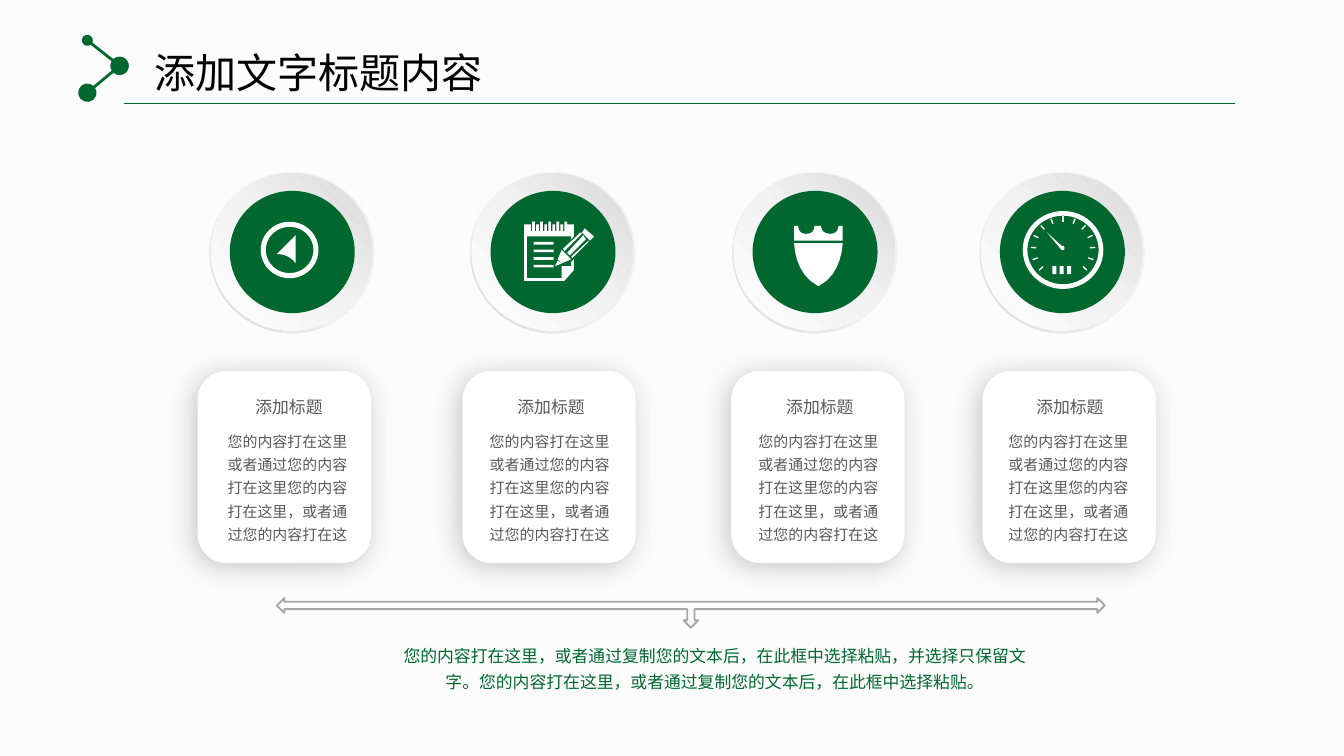
import copy
import math

import pptx
import pptx.util
import pptx.dml.color
import pptx.enum.shapes
import pptx.enum.text
import pptx.oxml
import pptx.oxml.ns
from lxml import etree

Inches = pptx.util.Inches
Pt = pptx.util.Pt
SHAPE = pptx.enum.shapes.MSO_SHAPE
qn = pptx.oxml.ns.qn

# Content
TITLE = "添加文字标题内容"
HEADING = "添加标题"
BODY = "您的内容打在这里或者通过您的内容打在这里您的内容打在这里，或者通过您的内容打在这"
SUMMARY = ("您的内容打在这里，或者通过复制您的文本后，在此框中选择粘贴，并选择只保留文字。"
           "您的内容打在这里，或者通过复制您的文本后，在此框中选择粘贴。")
FONT = "Noto Sans CJK SC"
COLORS = {"page": "FCFCFC", "green": "00682F", "black": "000000", "text": "595959",
          "white": "FFFFFF", "pale": "F2F2F2", "silver": "D9D9D9", "arrow": "A6A6A6"}

# Each column: card left, text left, badge left
COLUMNS = [(1.47, 1.54, 1.56), (3.44, 3.49, 3.5), (5.44, 5.49, 5.45), (7.31, 7.35, 7.29)]

# Outlines: a pair is a corner, six numbers are a Bezier curve
POINTER = [(2.2, 1.96), (2.2, 1.75), (2.06, 1.89), (2.16, 1.89, 2.2, 1.96, 2.2, 1.96)]
PENCIL = [
    [(4.25, 1.91), (4.26, 1.92), (4.38, 1.8), (4.38, 1.79)],
    [(4.34, 1.75), (4.22, 1.88), (4.24, 1.9), (4.36, 1.78)],
    [(4.19, 1.85), (4.2, 1.87), (4.33, 1.74), (4.32, 1.73)],
    [(4.25, 1.93), (4.18, 1.86), (4.15, 1.93), (4.18, 1.96)],
    [(4.13, 1.98), (4.18, 1.96), (4.15, 1.94)],
    [(4.35, 1.7), (4.33, 1.73), (4.39, 1.79), (4.42, 1.76)],
]
PAD_INSIDE = [(4.25, 1.98), (4.18, 1.98), (4.18, 2.07), (3.92, 2.07), (3.92, 1.76),
              (4.25, 1.76), (4.25, 1.78), (4.27, 1.76), (4.27, 1.67), (4.22, 1.67)]
PAD_OUTSIDE = [(3.9, 1.67), (3.9, 2.09), (4.2, 2.09), (4.27, 2.01), (4.27, 1.93), (4.25, 1.95)]
SHIELD = [(6.09, 2.13), (6.27, 2.04, 6.27, 1.81, 6.27, 1.81), (5.91, 1.81),
          (5.91, 1.81, 5.91, 2.04, 6.09, 2.13)]
CROWN = [(6.24, 1.68), (6.24, 1.72, 6.21, 1.74, 6.18, 1.74), (6.14, 1.74, 6.11, 1.72, 6.11, 1.68),
         (6.06, 1.68), (6.06, 1.72, 6.04, 1.74, 6, 1.74), (5.96, 1.74, 5.94, 1.72, 5.94, 1.68),
         (5.91, 1.68), (5.91, 1.79), (6.27, 1.79), (6.27, 1.68)]
NEEDLE = [(7.89, 1.85), (7.89, 1.86, 7.9, 1.86, 7.91, 1.86), (7.92, 1.86, 7.92, 1.86, 7.92, 1.85),
          (7.92, 1.84, 7.92, 1.83, 7.91, 1.83), (7.9, 1.83), (7.79, 1.73)]


def rgb(name):
    return pptx.dml.color.RGBColor.from_string(COLORS[name])


def paint(shape, color):
    shape.shadow.inherit = False
    shape.line.fill.background()
    shape.fill.solid()
    shape.fill.fore_color.rgb = rgb(color)


def add_shape(kind, left, top, width, height, color="white", adjust=None):
    shape = page.shapes.add_shape(kind, *map(Inches, (left, top, width, height)))
    paint(shape, color)
    if adjust is not None:
        shape.adjustments[0] = adjust
    return shape


def add_gradient(shape, stops, angle):
    shape.fill.gradient()
    shape.fill.gradient_angle = angle
    stop_list = shape._element.spPr.find(qn("a:gradFill")).find(qn("a:gsLst"))
    stop_list.insert(1, copy.deepcopy(stop_list[0]))
    for stop, (position, color) in zip(shape.fill.gradient_stops, stops):
        stop.position = position
        stop.color.rgb = rgb(color)


def add_outline(outline):
    points = []
    for part in outline:
        if len(part) == 2:
            points.append(part)
            continue
        knots = [points[-1], part[:2], part[2:4], part[4:]]
        for step in range(1, 9):
            t = step / 8
            weights = [(1 - t) ** 3, 3 * t * (1 - t) ** 2, 3 * t * t * (1 - t), t ** 3]
            points.append(tuple(sum(w * k[axis] for w, k in zip(weights, knots)) for axis in (0, 1)))
    points = [(Inches(x), Inches(y)) for x, y in points]
    builder = page.shapes.build_freeform(*points[0])
    builder.add_line_segments(points[1:], close=True)
    paint(builder.convert_to_shape(), "white")


def add_line(start, end, width, dots=()):
    line = page.shapes.add_connector(pptx.enum.shapes.MSO_CONNECTOR.STRAIGHT,
                                     *map(Inches, start + end))
    line.line.color.rgb = rgb("green")
    line.line.width = Pt(width)
    for tag, size in zip(("a:headEnd", "a:tailEnd"), dots):
        etree.SubElement(line.line._get_or_add_ln(), qn(tag), type="oval", w=size, len=size)
    etree.SubElement(line._element.spPr, qn("a:effectLst"))


def add_text(text, left, top, width, height, size, color, insets, spacing=None):
    box = page.shapes.add_textbox(*map(Inches, (left, top, width, height)))
    frame = box.text_frame
    frame.word_wrap = True
    frame.auto_size = pptx.enum.text.MSO_AUTO_SIZE.SHAPE_TO_FIT_TEXT
    frame.margin_left = frame.margin_right = Inches(insets[0])
    frame.margin_top = frame.margin_bottom = Inches(insets[1])
    frame.text = text
    para = frame.paragraphs[0]
    para.alignment = pptx.enum.text.PP_ALIGN.CENTER
    if spacing:
        para.line_spacing = spacing
    span = para.runs[0]
    span.font.size = Pt(size)
    span.font.name = FONT
    span.font.color.rgb = rgb(color)
    etree.SubElement(span._r.get_or_add_rPr(), qn("a:ea"), typeface=FONT)


def add_card(left, text_left):
    card = add_shape(SHAPE.ROUNDED_RECTANGLE, left, 2.76, 1.29, 1.43)
    effects = card._element.spPr.find(qn("a:effectLst"))
    shadow = etree.SubElement(effects, qn("a:outerShdw"), blurRad=str(Pt(15)), dist=str(Pt(3)),
                              dir=str(135 * 60000), algn="tr", rotWithShape="0")
    tint = etree.SubElement(shadow, qn("a:srgbClr"), val=COLORS["black"])
    etree.SubElement(tint, qn("a:alpha"), val="22000")
    add_text(BODY, text_left, 3.13, 1.2, 0.98, 8, "text", (0.1, 0.05), 1.3)
    add_text(HEADING, text_left + 0.12, 2.88, 0.98, 0.23, 9, "text", (0.1, 0), 1.5)


def add_badge(left):
    rim = add_shape(SHAPE.DONUT, left, 1.28, 1.23, 1.2, adjust=0.05)
    add_gradient(rim, [(0, "pale"), (0.55, "pale"), (1, "silver")], 225)
    dish = add_shape(SHAPE.OVAL, left + 0.01, 1.29, 1.2, 1.17)
    add_gradient(dish, [(0, "white"), (0.51, "pale"), (1, "silver")], 45)
    add_shape(SHAPE.OVAL, left + 0.15, 1.42, 0.93, 0.91, "green")


deck = pptx.Presentation()
deck.slide_width = Inches(10)
deck.slide_height = deck.slide_width * 9 // 16
page = deck.slides.add_slide(deck.slide_layouts[6])
page.background.fill.solid()
page.background.fill.fore_color.rgb = rgb("page")

# Title with its linked dots and rule
add_line((0.65, 0.3), (0.89, 0.49), 1.5, ("med", "lg"))
add_line((0.89, 0.49), (0.65, 0.69), 1.5, ("lg", "lg"))
add_line((0.92, 0.77), (9.19, 0.77), 1)
add_text(TITLE, 0.86, 0.31, 3.02, 0.45, 22, "black", (0.08, 0.04))

# Cards and round badges
for card_left, text_left, badge_left in COLUMNS:
    add_card(card_left, text_left)
for card_left, text_left, badge_left in COLUMNS:
    add_badge(badge_left)

# Compass icon
add_shape(SHAPE.DONUT, 1.94, 1.65, 0.43, 0.42, adjust=0.09)
add_outline(POINTER)

# Notepad icon: spikes and blocks alternate along the binding
binding = []
for index in range(5):
    right = 4.22 - 0.06 * index
    binding += [(right, 1.72), (right, 1.65), (right - 0.02, 1.65), (right - 0.02, 1.72),
                (right - 0.03, 1.72), (right - 0.03, 1.67)]
    if index < 4:
        binding += [(right - 0.05, 1.67), (right - 0.05, 1.72)]
for outline in PENCIL + [PAD_INSIDE + binding + PAD_OUTSIDE]:
    add_outline(outline)
for row in range(4):
    add_shape(SHAPE.RECTANGLE, 3.97, 1.8 + 0.17 * row / 3, 0.15, 0.02)

# Shield icon
add_outline(SHIELD)
add_outline(CROWN)

# Gauge icon: ticks fan out around the dial
add_shape(SHAPE.DONUT, 7.61, 1.57, 0.6, 0.58, adjust=0.06)
for bar in range(3):
    add_shape(SHAPE.RECTANGLE, 7.83 + 0.11 * bar / 2, 1.98, 0.03, 0.06)
add_outline(NEEDLE)
half = 0.01 / 2
for tick in range(-6, 7):
    angle = math.radians(22 * tick)
    across, up = math.sin(angle), math.cos(angle)
    add_outline([(7.91 + across * radius + up * side, 1.85 - up * radius + across * side)
                 for radius, side in ((0.2, -half), (0.24, -half), (0.24, half), (0.2, half))])

# Summary and three-way arrow
add_text(SUMMARY, 2.95, 4.74, 4.73, 0.41, 9, "green", (0.04, 0.02), 1.3)
arrow = add_shape(SHAPE.LEFT_RIGHT_UP_ARROW, 2.06, 4.45, 6.16, 0.22)
arrow.rotation = 180
arrow.fill.background()
arrow.line.color.rgb = rgb("arrow")
arrow.line.width = Pt(1)

deck.save("out.pptx")
